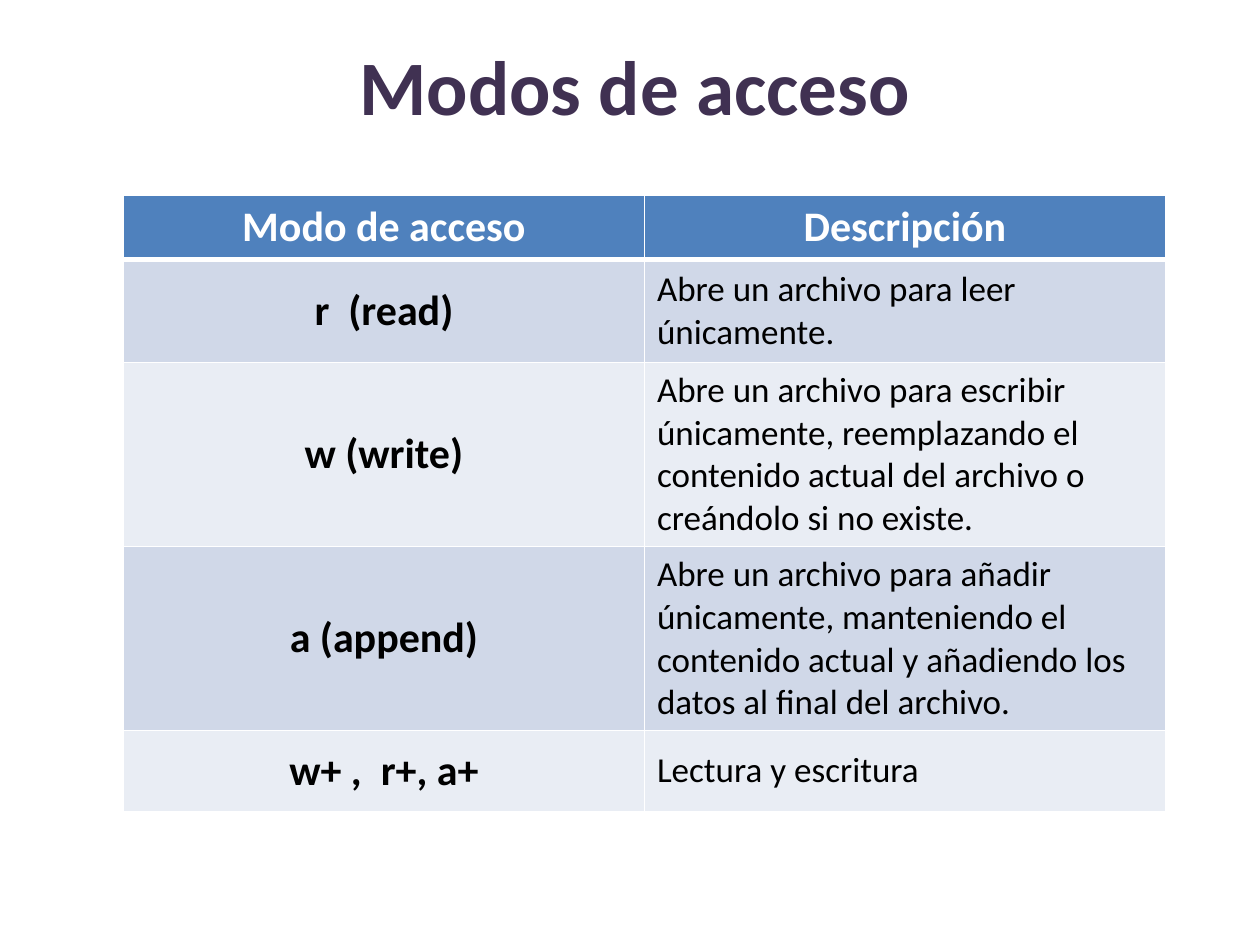
from lxml import etree
from pptx import Presentation
from pptx.dml.color import RGBColor
from pptx.enum.text import MSO_ANCHOR, PP_ALIGN
from pptx.oxml.ns import qn
from pptx.util import Inches, Pt

CENTER, LEFT = PP_ALIGN.CENTER, PP_ALIGN.LEFT
MIDDLE = MSO_ANCHOR.MIDDLE
WHITE, BLACK, PURPLE, BLUE = "FFFFFF", "000000", "403152", "4F81BD"
BANDS = ("D0D8E8", "E9EDF4")
TITLE_FONT = {"name": "Calibri", "size": Pt(44), "bold": True}
LABEL_FONT = {"name": "Calibri", "size": Pt(24), "bold": True}
DETAIL_FONT = {"name": "Calibri", "size": Pt(20), "bold": False}
ROW_HEIGHTS = (0.5, 0.82, 1.46, 1.46, 0.64)
MODES = (
    ("Modo de acceso", "Descripción"),
    ("r  (read)", "Abre un archivo para leer únicamente."),
    ("w (write)", "Abre un archivo para escribir únicamente, reemplazando el "
                  "contenido actual del archivo o creándolo si no existe."),
    ("a (append)", "Abre un archivo para añadir únicamente, manteniendo el "
                   "contenido actual y añadiendo los datos al final del archivo."),
    ("w+ ,  r+, a+", "Lectura y escritura"),
)


def color(value):
    """Turn a hex string into a colour."""
    return RGBColor.from_string(value)


def write(frame, text, font, tint, align):
    """Put one formatted paragraph into a text frame."""
    para = frame.paragraphs[0]
    para.alignment = align
    span = para.add_run()
    span.text = text
    for name, value in font.items():
        setattr(span.font, name, value)
    span.font.color.rgb = color(tint)


def add_borders(cell, widths):
    """Draw white cell borders, with widths in points by side."""
    properties = cell._tc.get_or_add_tcPr()
    for side, width in widths.items():
        line = etree.SubElement(properties, qn(f"a:ln{side}"), w=str(Pt(width)))
        fill = etree.SubElement(line, qn("a:solidFill"))
        etree.SubElement(fill, qn("a:srgbClr"), val=WHITE)


def add_title(page, left, top, width, height):
    """Place the slide title in the given box."""
    frame = page.shapes.add_textbox(left, top, width, height).text_frame
    frame.word_wrap = True
    frame.vertical_anchor = MIDDLE
    write(frame, "Modos de acceso", TITLE_FONT, PURPLE, CENTER)


def add_modes_table(page, left, top, width, height):
    """Place the table of access modes in the given box."""
    table = page.shapes.add_table(len(MODES), 2, left, top, width, height).table
    for row, row_height in zip(table.rows, ROW_HEIGHTS):
        row.height = Inches(row_height)
    for index, texts in enumerate(MODES):
        header = index == 0
        for column, text in enumerate(texts):
            cell = table.cell(index, column)
            label = header or column == 0
            widths = {"L": 1, "R": 1, "T": 3 if index == 1 else 1, "B": 3 if header else 1}
            add_borders(cell, widths)
            cell.fill.solid()
            cell.fill.fore_color.rgb = color(BLUE if header else BANDS[(index - 1) % 2])
            cell.vertical_anchor = MIDDLE
            write(cell.text_frame, text, LABEL_FONT if label else DETAIL_FONT,
                  WHITE if header else BLACK, CENTER if label else LEFT)


def main():
    """Build and save the deck."""
    deck = Presentation()
    deck.slide_width, deck.slide_height = Inches(10), Inches(7.5)
    page = deck.slides.add_slide(deck.slide_layouts[6])
    add_modes_table(page, Inches(0.98), Inches(1.55), Inches(8.27), Inches(sum(ROW_HEIGHTS)))
    add_title(page, Inches(0.51), Inches(0.05), Inches(9.06), Inches(1.25))
    deck.save("out.pptx")


if __name__ == "__main__":
    main()
